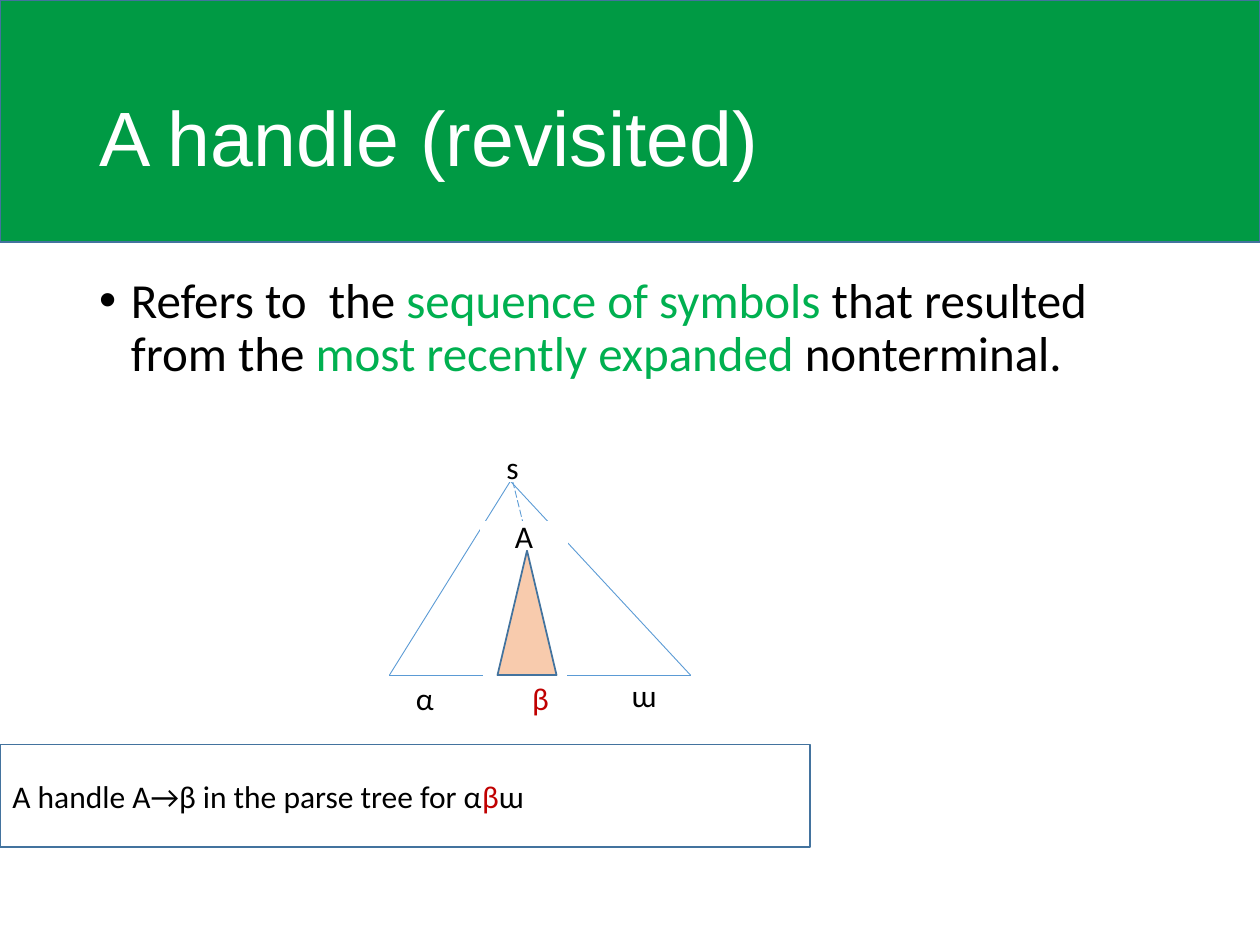
import pptx
import pptx.util
import pptx.dml.color
import pptx.enum.dml
import pptx.enum.shapes
import pptx.enum.text
from lxml import etree

Cm, Pt = pptx.util.Cm, pptx.util.Pt
SHAPES = pptx.enum.shapes.MSO_SHAPE
ALIGN = pptx.enum.text.PP_ALIGN
ANCHOR = pptx.enum.text.MSO_ANCHOR
BLACK, WHITE, RED, GREEN = "000000", "FFFFFF", "C00000", "00B050"
OUTLINE, EDGE = "43739E", "5B9BD5"


def colour(hex_value):
    return pptx.dml.color.RGBColor.from_string(hex_value)


def add_box(kind, left, top, width, height, fill, line):
    """Add a preset shape, measured in centimetres, with a 1 pt outline."""
    box = page.shapes.add_shape(kind, Cm(left), Cm(top), Cm(width), Cm(height))
    box.shadow.inherit = False
    box.fill.solid()
    box.fill.fore_color.rgb = colour(fill)
    box.line.color.rgb = colour(line)
    box.line.width = Pt(1)
    box.text_frame.vertical_anchor = ANCHOR.MIDDLE
    return box


deck = pptx.Presentation()
deck.slide_width, deck.slide_height = Cm(25.4), Cm(19.05)
page = deck.slides.add_slide(deck.slide_layouts[5])

# Title on a green band
band = add_box(SHAPES.RECTANGLE, 0, 0, 25.4, 4.88, "009A44", OUTLINE)
page.shapes.element.insert(2, band.element)  # behind the title
title = page.shapes.title
title.left, title.top, title.width, title.height = Cm(1.75), Cm(1.02), Cm(21.89), Cm(3.68)
title.text_frame.text = "A handle (revisited)"
title.text_frame.vertical_anchor = ANCHOR.MIDDLE
para = title.text_frame.paragraphs[0]
para.alignment = ALIGN.LEFT
para.line_spacing = 0.9
para.font.name, para.font.size = "Arial", Pt(44)
para.font.color.rgb = colour(WHITE)

# Definition with a bullet
definition = page.shapes.add_textbox(Cm(1.75), Cm(5.44), Cm(21.89), Cm(11.73))
definition.text_frame.word_wrap = True
para = definition.text_frame.paragraphs[0]
para.line_spacing = 0.9
properties = para._p.get_or_add_pPr()
properties.set("marL", str(Cm(0.64)))
properties.set("indent", str(-Cm(0.64)))
namespace = "{http://schemas.openxmlformats.org/drawingml/2006/main}"
etree.SubElement(properties, namespace + "buFont", typeface="Arial")
etree.SubElement(properties, namespace + "buChar", char="•")

# Parse tree: subtree of A, then the edges
base = 13.61
apex, left_corner, right_corner = (10.29, 9.7), (7.85, base), (13.92, base)
add_box(SHAPES.ISOSCELES_TRIANGLE, 10.03, 11.1, 1.19, 2.51, "F8CBAD", OUTLINE)
edges = [
    (apex, left_corner),
    (apex, right_corner),
    (left_corner, (9.73, base)),
    ((11.43, base), right_corner),
    ((10.34, 9.7), (10.62, 10.85)),
]
for (x1, y1), (x2, y2) in edges:
    edge = page.shapes.add_connector(
        pptx.enum.shapes.MSO_CONNECTOR.STRAIGHT, Cm(x1), Cm(y1), Cm(x2), Cm(y2))
    edge.line.color.rgb = colour(EDGE)
    edge.line.width = Pt(0.5)
    etree.SubElement(edge._element.spPr, namespace + "effectLst")
edge.line.dash_style = pptx.enum.dml.MSO_LINE.LONG_DASH  # last edge: s to A

labels = [
    ("s", 9.47, 9.14, BLACK),
    ("α", 7.7, 13.79, BLACK),
    ("β", 10.03, 13.79, RED),
    ("ɯ", 12.12, 13.72, BLACK),
    ("A", 9.7, 10.52, BLACK),
]
texts = []
for symbol, left, top, ink in labels:
    label = add_box(SHAPES.RECTANGLE, left, top, 1.73, 0.56, WHITE, WHITE)
    texts.append((label, 18, ALIGN.CENTER, [(symbol, ink)]))
    if symbol == "s":
        edge.begin_connect(label, 2)

caption = add_box(SHAPES.RECTANGLE, 0, 15.01, 16.33, 2.06, WHITE, OUTLINE)
texts += [
    (caption, 18, ALIGN.LEFT, [
        ("A handle A→β in the parse tree for α", BLACK), ("β", RED), ("ɯ", BLACK)]),
    (definition, 28, ALIGN.LEFT, [
        ("Refers to  the ", BLACK), ("sequence of symbols ", GREEN),
        ("that resulted from the ", BLACK), ("most recently expanded ", GREEN),
        ("nonterminal.", BLACK)]),
]
for box, size, alignment, spans in texts:
    para = box.text_frame.paragraphs[0]
    para.alignment = alignment
    for words, ink in spans:
        span = para.add_run()
        span.text = words
        span.font.name, span.font.size = "Calibri", Pt(size)
        span.font.color.rgb = colour(ink)

deck.save("out.pptx")
